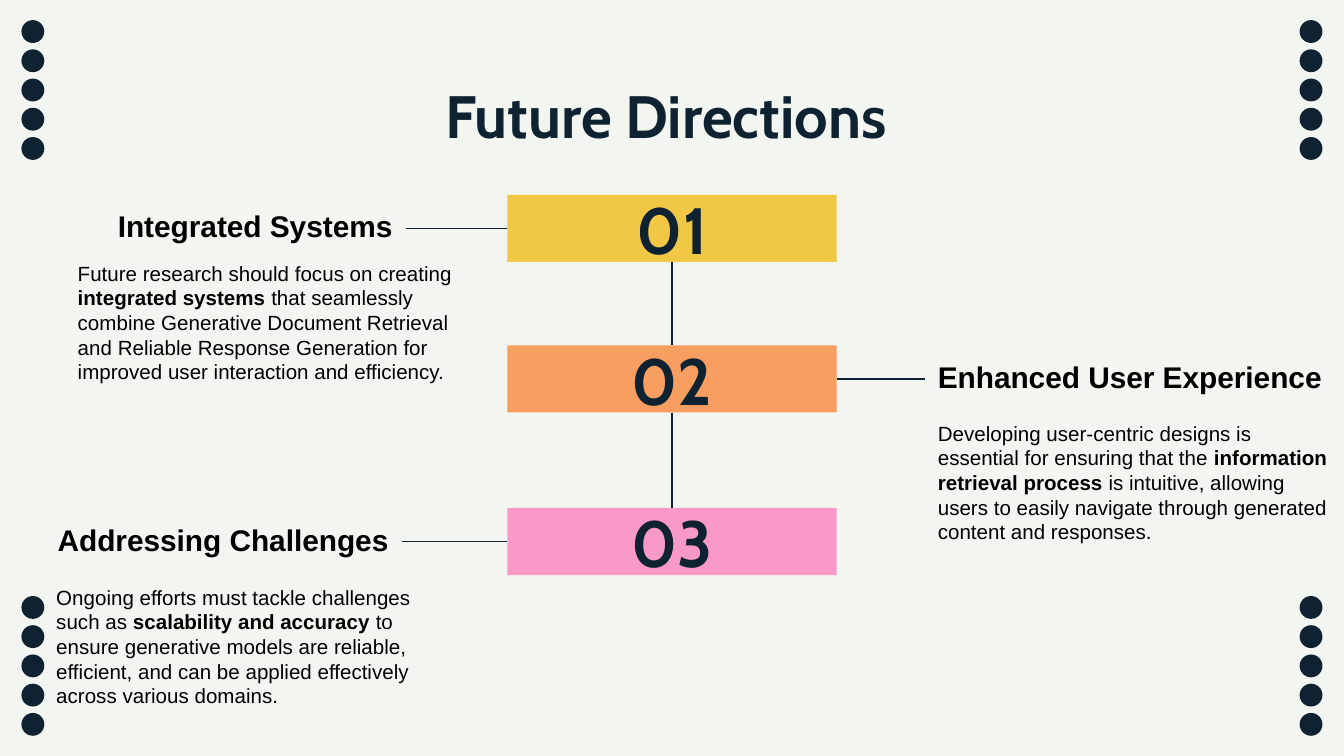
"""Build the Future Directions slide: three numbered bars with linked notes."""
from itertools import pairwise, product

from lxml import etree
from pptx import Presentation
from pptx import util as u
from pptx.dml.color import RGBColor
from pptx.enum import shapes, text
from pptx.oxml.ns import qn

WIDTH = 10
HEIGHT = WIDTH * 9 / 16
NAVY, BLACK, PAPER = "0E2231", "000000", "F2F5F0"
TITLE = "Future Directions "
BAR_WIDTH, BAR_HEIGHT, HEADING_HEIGHT = 2.45, 0.5, 0.43
DOT, DOT_COUNT, DOT_COLUMN = 0.17, 5, 1.04
DOT_SIDE, DOT_EDGE = 0.16, 0.15
LEFT, CENTER, RIGHT = text.PP_ALIGN.LEFT, text.PP_ALIGN.CENTER, text.PP_ALIGN.RIGHT
TOP, MIDDLE, BOTTOM = text.MSO_ANCHOR.TOP, text.MSO_ANCHOR.MIDDLE, text.MSO_ANCHOR.BOTTOM

STEPS = [
    dict(number="01", color="F1C845", top=1.45, side="left",
         heading="Integrated Systems", heading_span=(0.48, 2.54),
         body_box=(0.48, 1.84, 2.99, 1.11),
         body=["Future research should focus on creating ", "integrated systems",
               " that seamlessly combine Generative Document Retrieval and Reliable "
               "Response Generation for improved user interaction and efficiency."]),
    dict(number="02", color="F79E60", top=2.57, side="right",
         heading="Enhanced User Experience", heading_span=(6.88, 3.17),
         body_box=(6.88, 3.03, 3.17, 1.11),
         body=["Developing user-centric designs is essential for ensuring that the ",
               "information retrieval process",
               " is intuitive, allowing users to easily navigate through generated "
               "content and responses."]),
    dict(number="03", color="F899C8", top=3.78, side="left",
         heading="Addressing Challenges", heading_span=(0, 2.99),
         body_box=(0.32, 4.25, 2.99, 0.64),
         body=["Ongoing efforts must tackle challenges such as ", "scalability and accuracy",
               " to ensure generative models are reliable, efficient, and can be applied "
               "effectively across various domains."]),
]


def rgb(value):
    return RGBColor.from_string(value)


def add_shape(page, kind, place, color):
    shape = page.shapes.add_shape(kind, *map(u.Inches, place))
    shape.shadow.inherit = False
    shape.fill.solid()
    shape.fill.fore_color.rgb = rgb(color)
    shape.line.fill.background()
    return shape


def write(box, pieces, size, font, color, align, anchor, bold):
    """Fill a box with runs; bold gives one flag for each piece."""
    frame = box.text_frame
    frame.word_wrap = True
    frame.vertical_anchor = anchor
    frame.margin_left = frame.margin_right = u.Inches(0.1)
    frame.margin_top = frame.margin_bottom = u.Inches(0.1)
    para = frame.paragraphs[0]
    para.alignment = align
    for piece, heavy in zip(pieces, bold):
        span = para.add_run()
        span.text = piece
        span.font.size, span.font.name, span.font.bold = u.Pt(size), font, heavy
        span.font.color.rgb = rgb(color)


def add_text(page, place, pieces, size, font, color, align=LEFT, anchor=TOP, bold=(True,)):
    box = page.shapes.add_textbox(*map(u.Inches, place))
    write(box, pieces, size, font, color, align, anchor, bold)
    return box


def join(page, start, start_site, end, end_site):
    line = page.shapes.add_connector(shapes.MSO_CONNECTOR.STRAIGHT, 0, 0, 0, 0)
    line.begin_connect(start, start_site)
    line.end_connect(end, end_site)
    line.line.color.rgb = rgb(NAVY)
    line.line.width = u.Pt(0.75)
    etree.SubElement(line._element.spPr, qn("a:effectLst"))


def add_dots(page):
    step = (DOT_COLUMN - DOT) / (DOT_COUNT - 1)
    lefts = DOT_SIDE, WIDTH - DOT_SIDE - DOT
    tops = DOT_EDGE, HEIGHT - DOT_EDGE - DOT_COLUMN
    for left, top, index in product(lefts, tops, range(DOT_COUNT)):
        place = left, top + index * step, DOT, DOT
        add_shape(page, shapes.MSO_SHAPE.OVAL, place, NAVY)


def add_step(page, step):
    bar_left = (WIDTH - BAR_WIDTH) / 2
    bar = add_shape(page, shapes.MSO_SHAPE.RECTANGLE,
                    (bar_left, step["top"], BAR_WIDTH, BAR_HEIGHT), step["color"])
    write(bar, [step["number"]], 35, "Cabin", NAVY, CENTER, MIDDLE, [True])

    on_left = step["side"] == "left"
    left, width = step["heading_span"]
    top = step["top"] + (BAR_HEIGHT - HEADING_HEIGHT) / 2
    heading = add_text(page, (left, top, width, HEADING_HEIGHT), [step["heading"]], 16,
                       "Arial", BLACK, RIGHT if on_left else LEFT, BOTTOM)
    add_text(page, step["body_box"], step["body"], 11, "Arial", BLACK,
             bold=(False, True, False))
    join(page, bar, 1 if on_left else 3, heading, 3 if on_left else 1)
    return bar


def main():
    deck = Presentation()
    deck.slide_width, deck.slide_height = u.Inches(WIDTH), u.Inches(HEIGHT)
    page = deck.slides.add_slide(deck.slide_layouts[6])
    page.background.fill.solid()
    page.background.fill.fore_color.rgb = rgb(PAPER)

    add_dots(page)
    add_text(page, (0.79, 0.49, 8.43, 0.63), [TITLE], 32, "Cabin", NAVY, CENTER)
    bars = [add_step(page, step) for step in STEPS]
    for upper, lower in pairwise(bars):
        join(page, upper, 2, lower, 0)
    deck.save("out.pptx")


if __name__ == "__main__":
    main()
